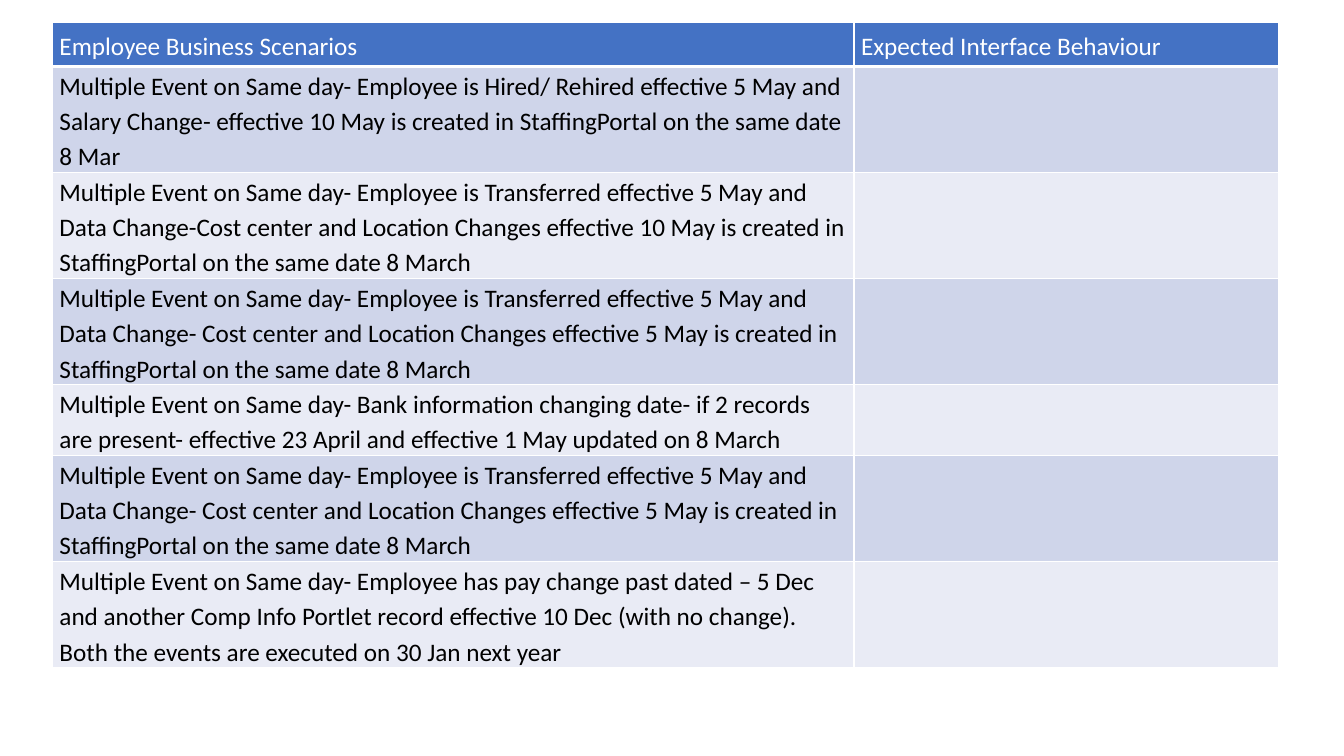
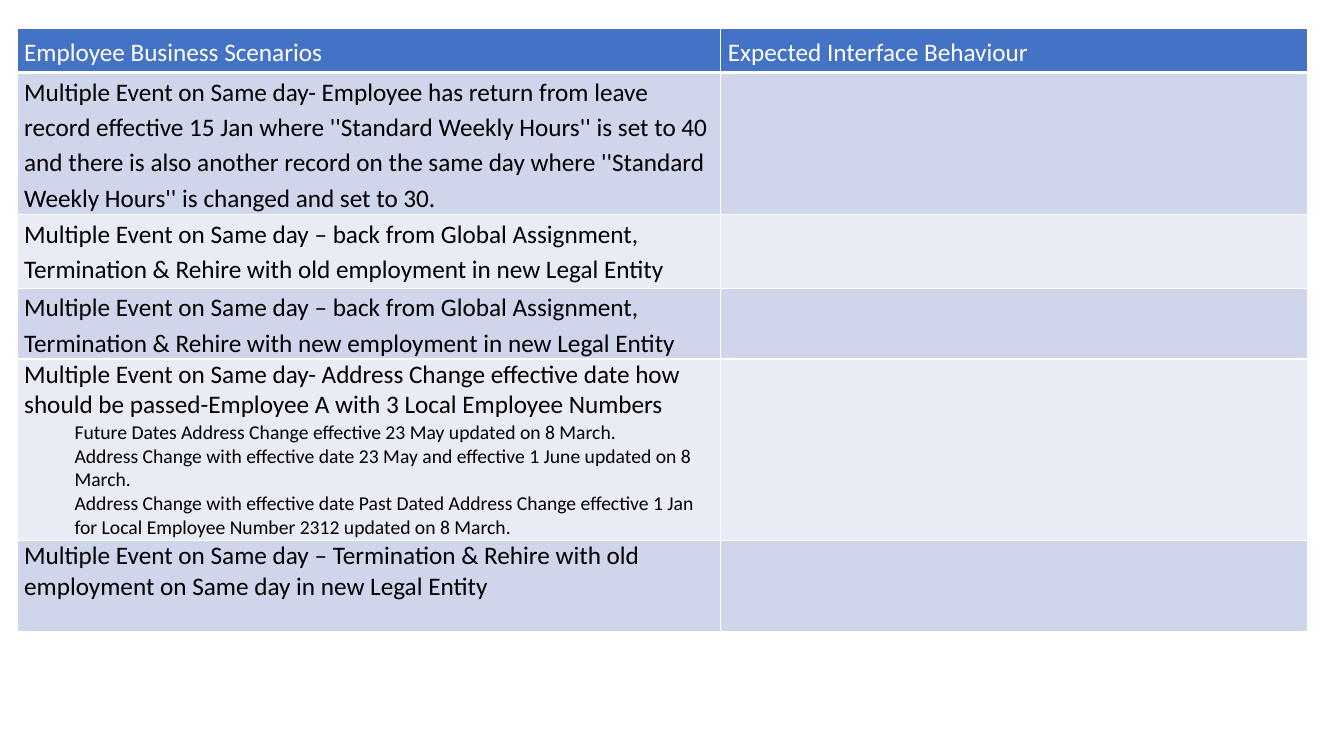
from lxml import etree
from pptx import Presentation
from pptx.dml.color import RGBColor as RGB
from pptx.enum.text import MSO_ANCHOR as Anchor, PP_ALIGN as Align
from pptx.oxml.ns import qn
from pptx.util import Inches, Pt

HUES = {"head": "4472C4", "odd": "CFD5EA", "even": "E9EBF5",
        "line": "FFFFFF", "light": "FFFFFF", "dark": "000000"}
FONT = "Calibri"
HEADS = ("Employee Business Scenarios", "Expected Interface Behaviour")
HEAD_H = 0.44
DAY = "Multiple Event on Same day"
MOVE = (f"{DAY}- Employee is Transferred effective 5 May and Data Change- Cost center "
        "and Location Changes effective 5 May is created in StaffingPortal on the same date 8 March")

# Each row: height, line spacing, main text, sub-items
PAY_ROWS = [
    (1.05, 1.15, f"{DAY}- Employee is Hired/ Rehired effective 5 May and Salary Change- "
     "effective 10 May is created in StaffingPortal on the same date 8 Mar", ()),
    (1.05, 1.15, f"{DAY}- Employee is Transferred effective 5 May and Data Change-Cost center "
     "and Location Changes effective 10 May is created in StaffingPortal on the same date 8 March", ()),
    (1.05, 1.15, MOVE, ()),
    (0.7, 1.15, f"{DAY}- Bank information changing date- if 2 records are present- "
     "effective 23 April and effective 1 May updated on 8 March", ()),
    (1.05, 1.15, MOVE, ()),
    (1.05, 1.15, f"{DAY}- Employee has pay change past dated – 5 Dec and another Comp Info "
     "Portlet record effective 10 Dec (with no change). Both the events are executed on "
     "30 Jan next year", ()),
]
LEAVE_ROWS = [
    (1.41, 1.15, f"{DAY}- Employee has return from leave record effective 15 Jan where "
     "''Standard Weekly Hours'' is set to 40 and there is also another record on the same "
     "day where ''Standard Weekly Hours'' is changed and set to 30.", ()),
    (0.73, 1.15, f"{DAY} – back from Global Assignment, Termination & Rehire with old "
     "employment in new Legal Entity", ()),
    (0.7, 1.15, f"{DAY} – back from Global Assignment, Termination & Rehire with new "
     "employment in new Legal Entity", ()),
    (1.8, 1, f"{DAY}- Address Change effective date how should be passed-Employee A with "
     "3 Local Employee Numbers",
     ("Future Dates Address Change effective 23 May updated on 8 March.",
      "Address Change with effective date 23 May and effective 1 June updated on 8 March.",
      "Address Change with effective date Past Dated Address Change effective 1 Jan for "
      "Local Employee Number 2312 updated on 8 March.")),
    (0.9, 1, f"{DAY} – Termination & Rehire with old employment on Same day in new Legal Entity", ()),
]


def write(para, text, size=18, hue="dark", align=Align.LEFT, space=1, after=0, level=0):
    para.level = level
    if level:
        props = para._p.get_or_add_pPr()
        props.set("marL", str(Inches(0.5 * level)))
        props.set("indent", "0")
    para.alignment, para.line_spacing, para.space_after = align, space, Pt(after)
    run = para.add_run()
    run.text = text
    font = run.font
    font.name, font.size, font.bold = FONT, Pt(size), False
    font.color.rgb = RGB.from_string(HUES[hue])


def edge(cell, base=1):
    """Draw the cell borders; base is the width of the lower one in points."""
    props = cell._tc.get_or_add_tcPr()
    for i, (side, width) in enumerate((("L", 1), ("R", 1), ("T", 1), ("B", base))):
        line = etree.Element(qn(f"a:ln{side}"), w=str(Pt(width)))
        fill = etree.SubElement(line, qn("a:solidFill"))
        etree.SubElement(fill, qn("a:srgbClr"), val=HUES["line"])
        props.insert(i, line)


def paint(cell, hue, base=1):
    cell.fill.solid()
    cell.fill.fore_color.rgb = RGB.from_string(HUES[hue])
    cell.margin_left = cell.margin_right = Inches(0.07)
    cell.margin_top = cell.margin_bottom = 0
    edge(cell, base)


def add_grid(deck, left, top, widths, rows):
    slide = deck.slides.add_slide(deck.slide_layouts[6])
    highs = [HEAD_H] + [row[0] for row in rows]
    grid = slide.shapes.add_table(len(highs), len(widths), Inches(left), Inches(top),
                                  Inches(sum(widths)), Inches(sum(highs))).table
    for col, width in zip(grid.columns, widths):
        col.width = Inches(width)
    for line, high in zip(grid.rows, highs):
        line.height = Inches(high)
    for i, head in enumerate(HEADS):
        cell = grid.cell(0, i)
        paint(cell, "head", base=3)
        cell.vertical_anchor = Anchor.MIDDLE
        write(cell.text_frame.paragraphs[0], head, hue="light",
              align=Align.JUSTIFY, space=1.15, after=10)
    for i, (_, space, text, items) in enumerate(rows, 1):
        for cell in grid.rows[i].cells:
            paint(cell, "odd" if i % 2 else "even")
        frame = grid.cell(i, 0).text_frame
        write(frame.paragraphs[0], text, space=space, after=10 if space > 1 else 0)
        for item in items:
            write(frame.add_paragraph(), item, size=14, level=1)


def main():
    deck = Presentation()
    deck.slide_width, deck.slide_height = Inches(13.33), Inches(7.5)
    add_grid(deck, 0.52, 0.22, (7.95, 4.21), PAY_ROWS)
    add_grid(deck, 0.17, 0.28, (6.98, 5.82), LEAVE_ROWS)
    deck.save("out.pptx")


if __name__ == "__main__":
    main()
